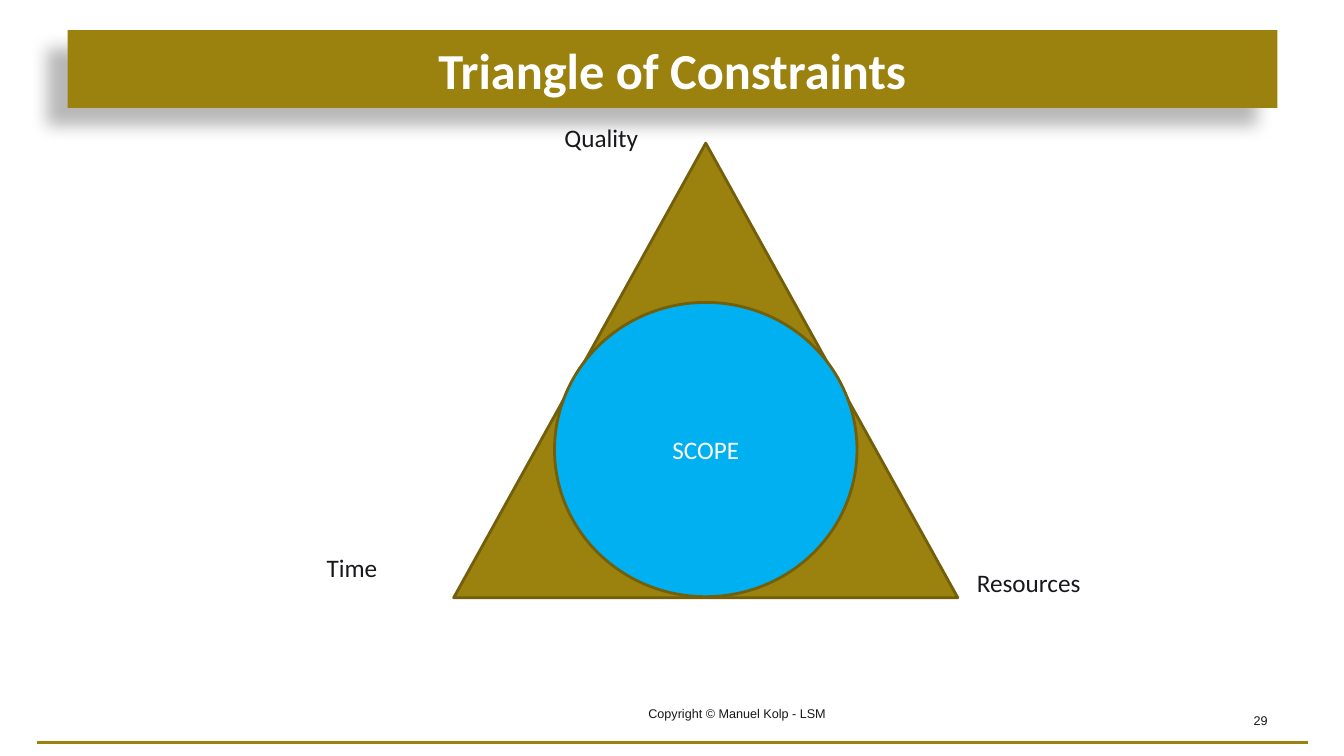
from dataclasses import dataclass

from lxml import etree
from pptx import Presentation
from pptx.dml.color import RGBColor
from pptx.enum.shapes import MSO_CONNECTOR, MSO_SHAPE
from pptx.enum.text import MSO_ANCHOR, PP_ALIGN
from pptx.oxml.ns import qn
from pptx.util import Inches, Pt

RECTANGLE = MSO_SHAPE.RECTANGLE
TRIANGLE = MSO_SHAPE.ISOSCELES_TRIANGLE
ELLIPSE = MSO_SHAPE.OVAL
STRAIGHT = MSO_CONNECTOR.STRAIGHT
LEFT, CENTER, RIGHT = PP_ALIGN.LEFT, PP_ALIGN.CENTER, PP_ALIGN.RIGHT
TOP, MIDDLE = MSO_ANCHOR.TOP, MSO_ANCHOR.MIDDLE


@dataclass(frozen=True)
class Theme:
    gold: RGBColor = RGBColor(0x9B, 0x81, 0x0D)
    outline: RGBColor = RGBColor(0x73, 0x5F, 0x0A)
    blue: RGBColor = RGBColor(0x00, 0xB0, 0xF0)
    dark: RGBColor = RGBColor(0x19, 0x17, 0x1C)
    white: RGBColor = RGBColor(0xFF, 0xFF, 0xFF)
    body_font: str = "Calibri"
    footer_font: str = "Arial"
    title_size: int = 36
    label_size: int = 18
    footer_size: int = 9
    outline_width: float = 2
    rule_width: float = 2.25


THEME = Theme()


def write_text(shape, text, size, color, font=THEME.body_font,
               align=CENTER, anchor=MIDDLE, bold=False, wrap=True):
    text_frame = shape.text_frame
    text_frame.text = text
    text_frame.word_wrap = wrap
    text_frame.vertical_anchor = anchor
    paragraph = text_frame.paragraphs[0]
    paragraph.alignment = align
    run_font = paragraph.runs[0].font
    run_font.name = font
    run_font.size = Pt(size)
    run_font.bold = bold
    run_font.color.rgb = color


def add_filled_shape(slide, kind, box, fill, outline=None):
    shape = slide.shapes.add_shape(kind, *map(Inches, box))
    shape.shadow.inherit = False
    shape.fill.solid()
    shape.fill.fore_color.rgb = fill
    if outline is None:
        shape.line.fill.background()
    else:
        shape.line.color.rgb = outline
        shape.line.width = Pt(THEME.outline_width)
    return shape


def add_drop_shadow(shape, blur, distance, angle, opacity):
    effects = shape._element.spPr.find(qn("a:effectLst"))
    shadow = etree.SubElement(
        effects, qn("a:outerShdw"), blurRad=str(Pt(blur)), dist=str(Pt(distance)),
        dir=str(angle * 60000), algn="ctr", rotWithShape="0")
    color = etree.SubElement(shadow, qn("a:srgbClr"), val="000000")
    etree.SubElement(color, qn("a:alpha"), val=str(opacity * 1000))


def add_title_bar(slide, text):
    bar = add_filled_shape(slide, RECTANGLE, (0.67, 0.3, 12, 0.77), THEME.gold)
    add_drop_shadow(bar, blur=11.8, distance=19.7, angle=141, opacity=28)
    write_text(bar, text, THEME.title_size, THEME.white, bold=True)


def add_footer_text(slide, text, left, width, align, anchor):
    box = slide.shapes.add_textbox(*map(Inches, (left, 6.95, width, 0.4)))
    write_text(box, text, THEME.footer_size, THEME.dark, THEME.footer_font,
               align, anchor)


def add_corner_label(slide, text, left, top, width):
    box = slide.shapes.add_textbox(*map(Inches, (left, top, width, 0.4)))
    write_text(box, text, THEME.label_size, THEME.dark,
               align=LEFT, anchor=TOP, wrap=False)


def add_bottom_rule(slide):
    rule = slide.shapes.add_connector(
        STRAIGHT, *map(Inches, (0.37, 7.37, 12.97, 7.37)))
    rule.line.color.rgb = THEME.gold
    rule.line.width = Pt(THEME.rule_width)
    etree.SubElement(rule._element.spPr, qn("a:effectLst"))


def main():
    presentation = Presentation()
    presentation.slide_width = Inches(13.33)
    presentation.slide_height = Inches(7.5)
    slide = presentation.slides.add_slide(presentation.slide_layouts[6])

    # Frame: rule, title and footer
    add_bottom_rule(slide)
    add_title_bar(slide, "Triangle of Constraints")
    add_footer_text(slide, "Copyright © Manuel Kolp - LSM", 5.2, 4.22, CENTER, TOP)
    add_footer_text(slide, "29", 9.56, 3.11, RIGHT, MIDDLE)

    # Triangle with the scope at its centre
    add_filled_shape(slide, TRIANGLE, (4.5, 1.42, 5, 4.51), THEME.gold, THEME.outline)
    scope = add_filled_shape(slide, ELLIPSE, (5.5, 3, 3, 2.92), THEME.blue, THEME.outline)
    write_text(scope, "SCOPE", THEME.label_size, THEME.white)

    # One constraint at each corner
    for text, left, top, width in (
        ("Quality", 5.5, 1.16, 0.94),
        ("Time", 3.14, 5.43, 0.71),
        ("Resources", 9.59, 5.58, 1.24),
    ):
        add_corner_label(slide, text, left, top, width)

    presentation.save("out.pptx")


if __name__ == "__main__":
    main()
